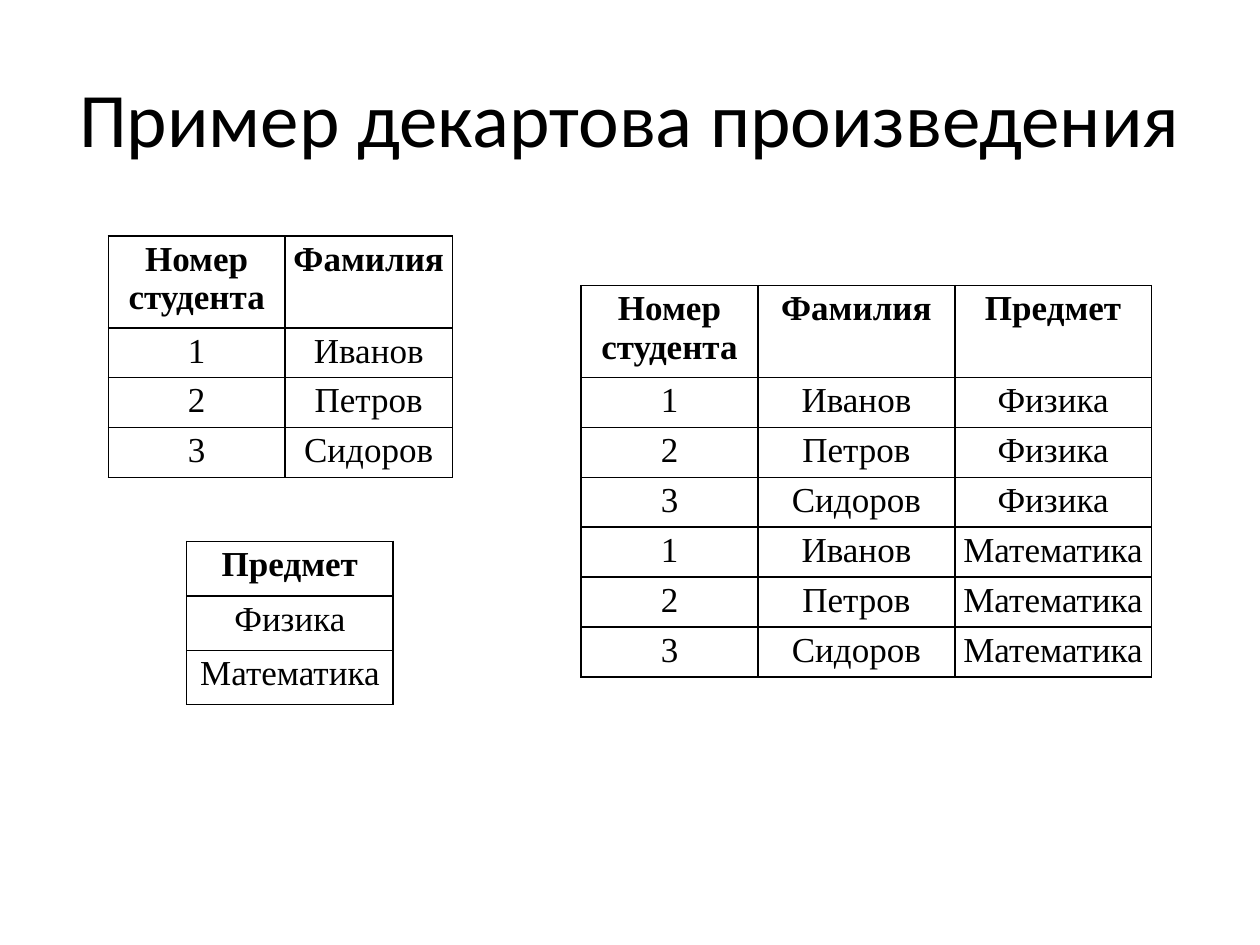
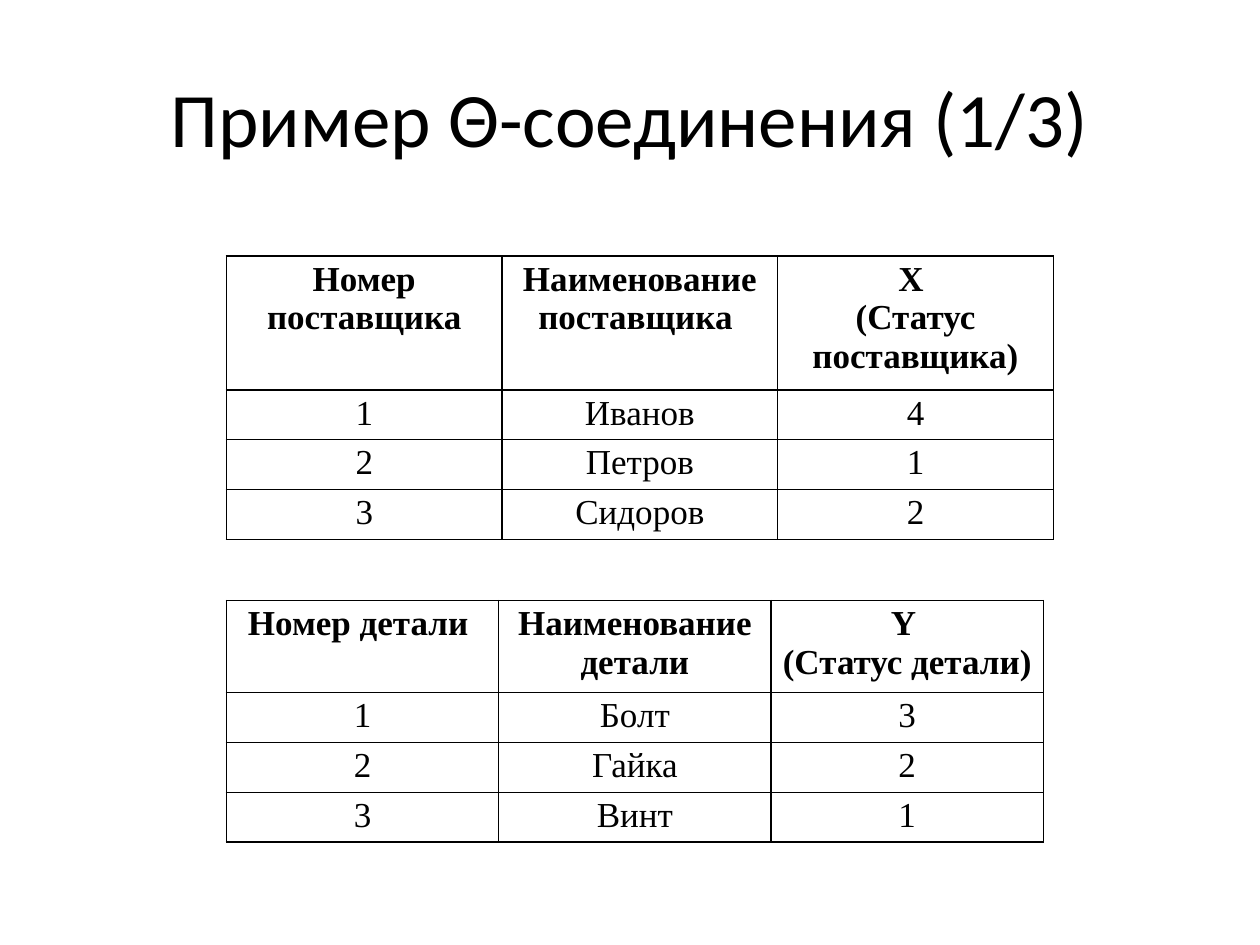
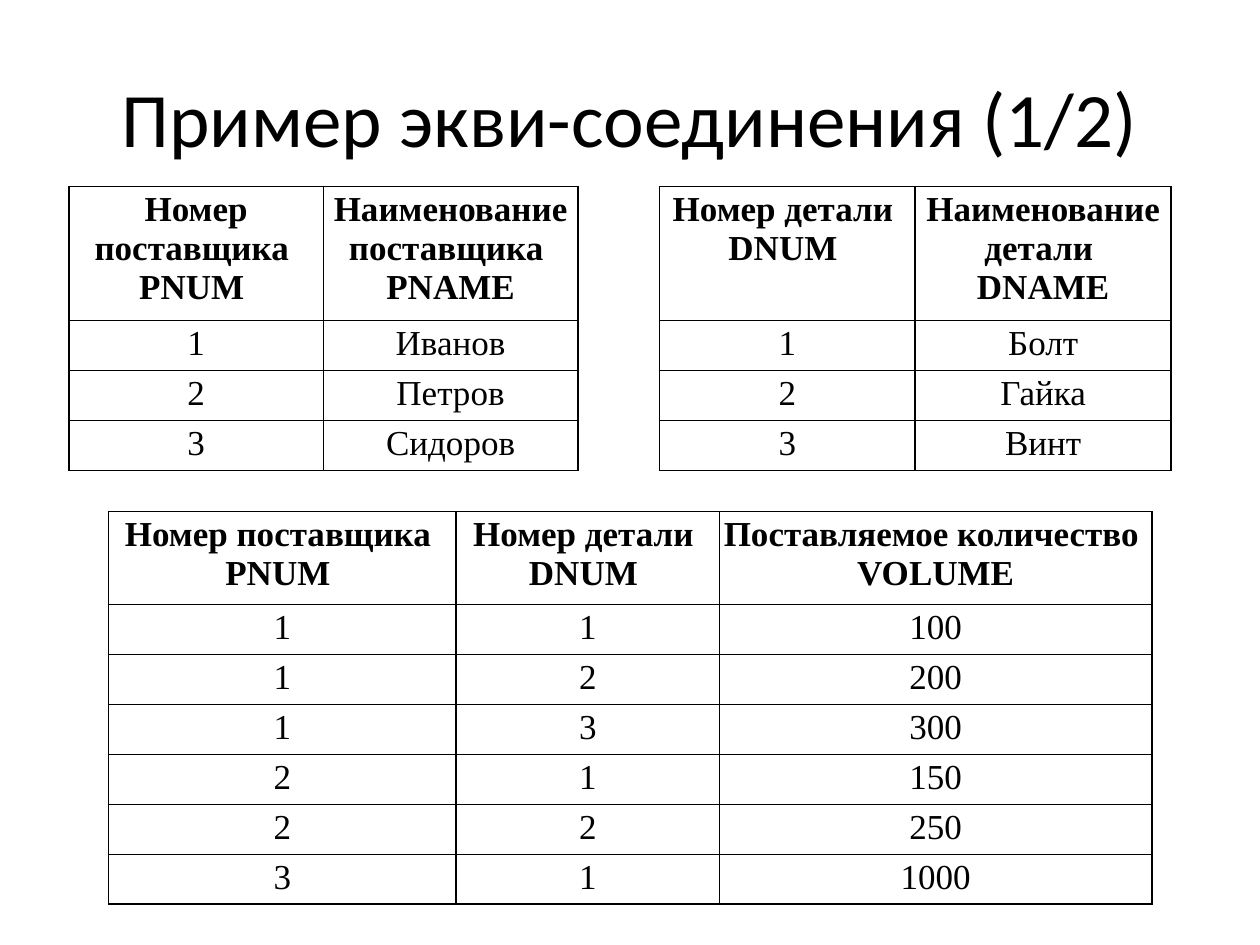
from itertools import product

from lxml import etree
from pptx import Presentation
from pptx.dml.color import RGBColor
from pptx.enum import text
from pptx.oxml import ns
from pptx.util import Pt

BLACK = RGBColor(0, 0, 0)
TITLE_FONT = "Calibri"
TABLE_FONT = "Times New Roman"
TITLE_BOX = (36, 21.6, 648, 90)
TITLE_SIZE = 44
TABLE_SIZE = 20
LINE_HEIGHT = 22.15
CELL_INSET = 2.25
BORDER_WIDTH = 1

STUDENTS = [("1", "Иванов"), ("2", "Петров"), ("3", "Сидоров")]
SUBJECTS = ["Физика", "Математика"]
PARTS = [("1", "Болт"), ("2", "Гайка"), ("3", "Винт")]
SUPPLIER_STATUS = ["4", "1", "2"]
PART_STATUS = ["3", "2", "1"]
SUPPLIES = [
    ("1", "1", "100"),
    ("1", "2", "200"),
    ("1", "3", "300"),
    ("2", "1", "150"),
    ("2", "2", "250"),
    ("3", "1", "1000"),
]


def write_text(frame, content, font=TABLE_FONT, size=TABLE_SIZE, bold=False):
    frame.text = content
    for para in frame.paragraphs:
        para.alignment = text.PP_ALIGN.CENTER
        for span in para.runs:
            span.font.name = font
            span.font.size = Pt(size)
            span.font.bold = bold
            span.font.color.rgb = BLACK


def add_title(page, title):
    box = page.shapes.add_textbox(*map(Pt, TITLE_BOX))
    frame = box.text_frame
    frame.word_wrap = True
    frame.vertical_anchor = text.MSO_ANCHOR.MIDDLE
    write_text(frame, title, font=TITLE_FONT, size=TITLE_SIZE)


def add_borders(cell):
    properties = cell._tc.get_or_add_tcPr()
    for side in ("a:lnL", "a:lnR", "a:lnT", "a:lnB"):
        line = etree.SubElement(properties, ns.qn(side), w=str(Pt(BORDER_WIDTH)))
        fill = etree.SubElement(line, ns.qn("a:solidFill"))
        etree.SubElement(fill, ns.qn("a:srgbClr"), val=str(BLACK))


def text_height(lines):
    return lines * LINE_HEIGHT + 2 * CELL_INSET


def add_relation(page, left, top, widths, header, rows,
                 header_height=text_height(2), row_height=text_height(1)):
    records = [header, *rows]
    heights = [header_height] + [row_height] * len(rows)
    table = page.shapes.add_table(
        len(records), len(widths),
        Pt(left), Pt(top), Pt(sum(widths)), Pt(sum(heights)),
    ).table
    table.first_row = False
    table.horz_banding = False
    for column, width in zip(table.columns, widths):
        column.width = Pt(width)
    for row, height, record in zip(table.rows, heights, records):
        row.height = Pt(height)
        for cell, content in zip(row.cells, record):
            cell.margin_left = cell.margin_right = Pt(CELL_INSET)
            cell.margin_top = cell.margin_bottom = Pt(CELL_INSET)
            add_borders(cell)
            cell.fill.background()
            write_text(cell.text_frame, content, bold=record is header)


def add_cartesian_product(page):
    add_title(page, "Пример декартова произведения")
    student_header = ("Номер студента", "Фамилия")
    add_relation(page, 62, 134.8, [100.8, 95.8], student_header, STUDENTS)
    add_relation(page, 106.6, 309.4, [118.1], ("Предмет",),
                 [(subject,) for subject in SUBJECTS],
                 header_height=31.1, row_height=31.1)
    add_relation(page, 332, 163.2, [101.2, 112.4, 112.4],
                 (*student_header, "Предмет"),
                 [(*student, subject)
                  for subject, student in product(SUBJECTS, STUDENTS)])


def add_theta_join(page):
    add_title(page, "Пример Θ-соединения (1/3)")
    add_relation(page, 129.4, 146.2, [157.5] * 3,
                 ("Номер поставщика", "Наименование поставщика ",
                  "X \n(Статус поставщика)"),
                 [(*supplier, status)
                  for supplier, status in zip(STUDENTS, SUPPLIER_STATUS)],
                 header_height=text_height(3))
    add_relation(page, 129.4, 343.2, [155.6] * 3,
                 ("Номер детали ", "Наименование детали",
                  "Y \n(Статус детали)"),
                 [(*part, status) for part, status in zip(PARTS, PART_STATUS)])


def add_equi_join(page):
    add_title(page, "Пример экви-соединения (1/2)")
    supplier_number = "Номер поставщика \nPNUM "
    part_number = "Номер детали \nDNUM "
    add_relation(page, 39.4, 106.7, [145.4] * 2,
                 (supplier_number, "Наименование поставщика \nPNAME"),
                 STUDENTS, header_height=text_height(3))
    add_relation(page, 376.8, 106.7, [146.2] * 2,
                 (part_number, "Наименование детали \nDNAME"),
                 PARTS, header_height=text_height(3))
    add_relation(page, 62, 292.4, [198.7, 150.5, 247],
                 (supplier_number, part_number,
                  "Поставляемое количество \nVOLUME"),
                 SUPPLIES, header_height=53.2, row_height=27.1)


def main():
    deck = Presentation()
    deck.slide_width = Pt(720)
    deck.slide_height = Pt(540)
    for build in (add_cartesian_product, add_theta_join, add_equi_join):
        build(deck.slides.add_slide(deck.slide_layouts[6]))
    deck.save("out.pptx")


if __name__ == "__main__":
    main()
